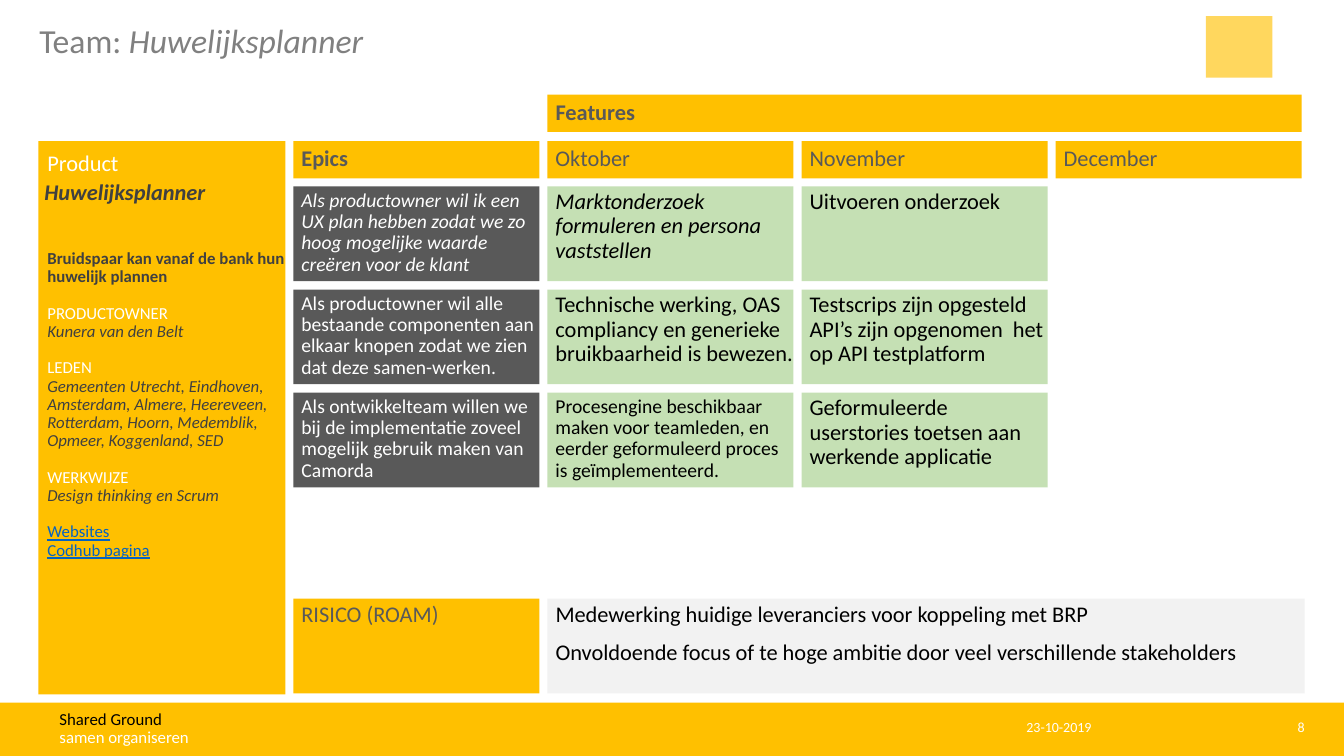
from dataclasses import dataclass
from typing import Optional, Union

import pptx
import pptx.dml.color
import pptx.enum.shapes
import pptx.enum.text
import pptx.oxml.ns
import pptx.util
from lxml import etree

Inches, Pt = pptx.util.Inches, pptx.util.Pt
ALIGN, ANCHOR = pptx.enum.text.PP_ALIGN, pptx.enum.text.MSO_ANCHOR


@dataclass(frozen=True)
class Theme:
    font: str = "Calibri"
    yellow: str = "FFC000"
    green: str = "C5E0B4"
    dark: str = "595959"
    pale: str = "F2F2F2"
    text: str = "404040"
    title: str = "808080"
    link: str = "0563C1"
    white: str = "FFFFFF"
    black: str = "000000"
    title_size: int = 24
    large: int = 16
    medium: int = 14
    small: int = 12
    tiny: int = 10


T = Theme()


@dataclass(frozen=True)
class Run:
    text: str
    size: int
    color: str
    bold: bool = False
    italic: bool = False
    underline: bool = False


@dataclass(frozen=True)
class Para:
    runs: tuple[Run, ...]
    before: float = 0
    spacing: Optional[Union[float, pptx.util.Length]] = 0.9
    align: ALIGN = ALIGN.LEFT


@dataclass(frozen=True)
class Box:
    left: float
    top: float
    width: float
    height: float


@dataclass(frozen=True)
class Card:
    col: int
    row: int
    text: str
    size: int = T.large
    italic: bool = False


COL_LEFT, COL_PITCH, COL_WIDTH = 2.91, 2.52, 2.44
ROW_TOP, RISK_TOP, ROW_HEIGHT = 1.85, 5.94, 0.94
ROW_PITCH = (RISK_TOP - ROW_TOP) / 4
HEAD_TOP, HEAD_HEIGHT = 1.4, 0.37
SIDE_LEFT = 0.39

HEADINGS = ("Epics", "Oktober", "November", "December")
CARDS = (
    Card(0, 0, "Als productowner wil ik een UX plan hebben zodat we zo hoog mogelijke "
               "waarde creëren voor de klant", T.medium, True),
    Card(0, 1, "Als productowner wil alle bestaande componenten aan elkaar knopen zodat "
               "we zien dat deze samen-werken.", T.medium),
    Card(0, 2, "Als ontwikkelteam willen we bij de implementatie zoveel mogelijk gebruik "
               "maken van Camorda", T.medium),
    Card(1, 0, "Marktonderzoek formuleren en persona vaststellen", italic=True),
    Card(1, 1, "Technische werking, OAS compliancy en generieke bruikbaarheid is bewezen."),
    Card(1, 2, "Procesengine beschikbaar maken voor teamleden, en eerder geformuleerd "
               "proces is geïmplementeerd.", T.medium),
    Card(2, 0, "Uitvoeren onderzoek"),
    Card(2, 1, "Testscrips zijn opgesteld\nAPI’s zijn opgenomen  het op API testplatform"),
    Card(2, 2, "Geformuleerde userstories toetsen aan werkende applicatie"),
)
RISKS = (
    "Medewerking huidige leveranciers voor koppeling met BRP",
    "Onvoldoende focus of te hoge ambitie door veel verschillende stakeholders",
)
SECTIONS = (
    ("PRODUCTOWNER", "Kunera van den Belt"),
    ("LEDEN", "Gemeenten Utrecht, Eindhoven, Amsterdam, Almere, Heereveen, Rotterdam, "
              "Hoorn, Medemblik, Opmeer, Koggenland, SED"),
    ("WERKWIJZE", "Design thinking en Scrum"),
)
LINKS = ("Websites", "Codhub pagina")


def rgb(color: str) -> pptx.dml.color.RGBColor:
    return pptx.dml.color.RGBColor.from_string(color)


def write(s, paras: list[Para], inset: tuple[float, float] = (0, 0),
          anchor: ANCHOR = ANCHOR.TOP, wrap: bool = True) -> None:
    """Fill a shape with paragraphs; inset is its left and top margin."""
    tf = s.text_frame
    tf.word_wrap = wrap
    tf.auto_size = pptx.enum.text.MSO_AUTO_SIZE.NONE
    tf.vertical_anchor = anchor
    tf.margin_left, tf.margin_top = map(Inches, inset)
    tf.margin_right = tf.margin_bottom = 0
    for i, para in enumerate(paras):
        p = tf.add_paragraph() if i else tf.paragraphs[0]
        p.alignment, p.line_spacing = para.align, para.spacing
        p.space_before, p.space_after = Pt(para.before), Pt(0)
        for run in para.runs:
            for j, line in enumerate(run.text.split("\n")):
                if j:
                    p.add_line_break()
                r = p.add_run()
                r.text = line
                r.font.name, r.font.size = T.font, Pt(run.size)
                r.font.color.rgb = rgb(run.color)
                r.font.bold, r.font.italic = run.bold, run.italic
                r.font.underline = run.underline


def place(s, box: Box) -> None:
    s.left, s.top = Inches(box.left), Inches(box.top)
    s.width, s.height = Inches(box.width), Inches(box.height)


def add_panel(slide, box: Box, fill: str):
    s = slide.shapes.add_shape(pptx.enum.shapes.MSO_SHAPE.RECTANGLE, 0, 0, 0, 0)
    place(s, box)
    s.shadow.inherit = False
    s.fill.solid()
    s.fill.fore_color.rgb = rgb(fill)
    s.line.fill.background()
    return s


def add_text(slide, box: Box, paras: list[Para], inset: tuple[float, float] = (0, 0),
             wrap: bool = True) -> None:
    s = slide.shapes.add_textbox(0, 0, 0, 0)
    place(s, box)
    write(s, paras, inset, wrap=wrap)


def add_heading(slide, box: Box, text: str, bold: bool) -> None:
    s = add_panel(slide, box, T.yellow)
    write(s, [Para((Run(text, T.large, T.dark, bold),))], (0.08, 0), ANCHOR.MIDDLE)


def add_card(slide, box: Box, fill: str, runs: list[Run]) -> None:
    s = add_panel(slide, box, fill)
    write(s, [Para((run,), before=10) for run in runs], (0.08, 0.04))


def column_left(col: int) -> float:
    return COL_LEFT + col * COL_PITCH


def draw_frame(slide) -> None:
    """Draw the footer band, the corner square and the title."""
    add_panel(slide, Box(0, 6.97, 13.33, 0.53), T.yellow)
    add_text(slide, Box(0.59, 7.05, 1.3, 0.36),
             [Para((Run(text, T.small, color),), spacing=Pt(13))
              for text, color in (("Shared Ground", T.black), ("samen organiseren", T.white))],
             wrap=False)
    square = add_panel(slide, Box(11.96, 0.16, 0.66, 0.61), T.yellow)
    color = square.fill._xPr.find(".//" + pptx.oxml.ns.qn("a:srgbClr"))
    etree.SubElement(color, pptx.oxml.ns.qn("a:alpha"), val="63000")
    for box, text, align in ((Box(10.18, 7.13, 1.97, 0.2), "23-10-2019", ALIGN.LEFT),
                             (Box(12.15, 7.13, 0.79, 0.2), "8", ALIGN.RIGHT)):
        add_text(slide, box, [Para((Run(text, T.tiny, T.white),), spacing=1.0, align=align)])
    title = slide.shapes.title
    place(title, Box(SIDE_LEFT, 0.24, 8.66, 0.47))
    write(title, [Para((Run("Team: ", T.title_size, T.title),
                        Run("Huwelijksplanner", T.title_size, T.title, italic=True)))])


def draw_product(slide) -> None:
    add_panel(slide, Box(0.38, HEAD_TOP, 2.45, 5.49), T.yellow)
    add_text(slide, Box(SIDE_LEFT, HEAD_TOP, COL_WIDTH, 0.45),
             [Para((Run("Product", T.large, T.white),), spacing=1.0)], (0.08, 0.08))
    add_text(slide, Box(0.44, 1.77, 2.27, 0.27),
             [Para((Run("Huwelijksplanner", T.large, T.text, True, True),), spacing=1.0)])
    gap = 13.2
    paras = [Para((Run("Bruidspaar kan vanaf de bank hun huwelijk plannen",
                       T.small, T.text, True),))]
    for label, detail in SECTIONS:
        paras.append(Para((Run(label, T.small, T.white),), before=gap))
        paras.append(Para((Run(detail, T.small, T.text, italic=True),)))
    for i, link in enumerate(LINKS):
        paras.append(Para((Run(link, T.small, T.link, underline=True),),
                          before=0 if i else gap))
    add_text(slide, Box(SIDE_LEFT, 2.4, COL_WIDTH, 3), paras, (0.08, 0.08))


def draw_board(slide) -> None:
    add_heading(slide, Box(column_left(1), 0.94, 7.48, HEAD_HEIGHT), "Features", True)
    for col, text in enumerate(HEADINGS):
        add_heading(slide, Box(column_left(col), HEAD_TOP, COL_WIDTH, HEAD_HEIGHT),
                    text, col == 0)
    for card in CARDS:
        fill, color = (T.green, T.black) if card.col else (T.dark, T.white)
        box = Box(column_left(card.col), ROW_TOP + card.row * ROW_PITCH, COL_WIDTH, ROW_HEIGHT)
        add_card(slide, box, fill, [Run(card.text, card.size, color, italic=card.italic)])
    add_card(slide, Box(column_left(0), RISK_TOP, COL_WIDTH, ROW_HEIGHT), T.yellow,
             [Run("RISICO (ROAM)", T.large, T.dark)])
    add_card(slide, Box(column_left(1), RISK_TOP, 7.51, ROW_HEIGHT), T.pale,
             [Run(text, T.large, T.black) for text in RISKS])


def main() -> None:
    prs = pptx.Presentation()
    prs.slide_width, prs.slide_height = Inches(13.33), Inches(7.5)
    slide = prs.slides.add_slide(prs.slide_layouts[5])
    draw_frame(slide)
    draw_product(slide)
    draw_board(slide)
    prs.save("out.pptx")


if __name__ == "__main__":
    main()
